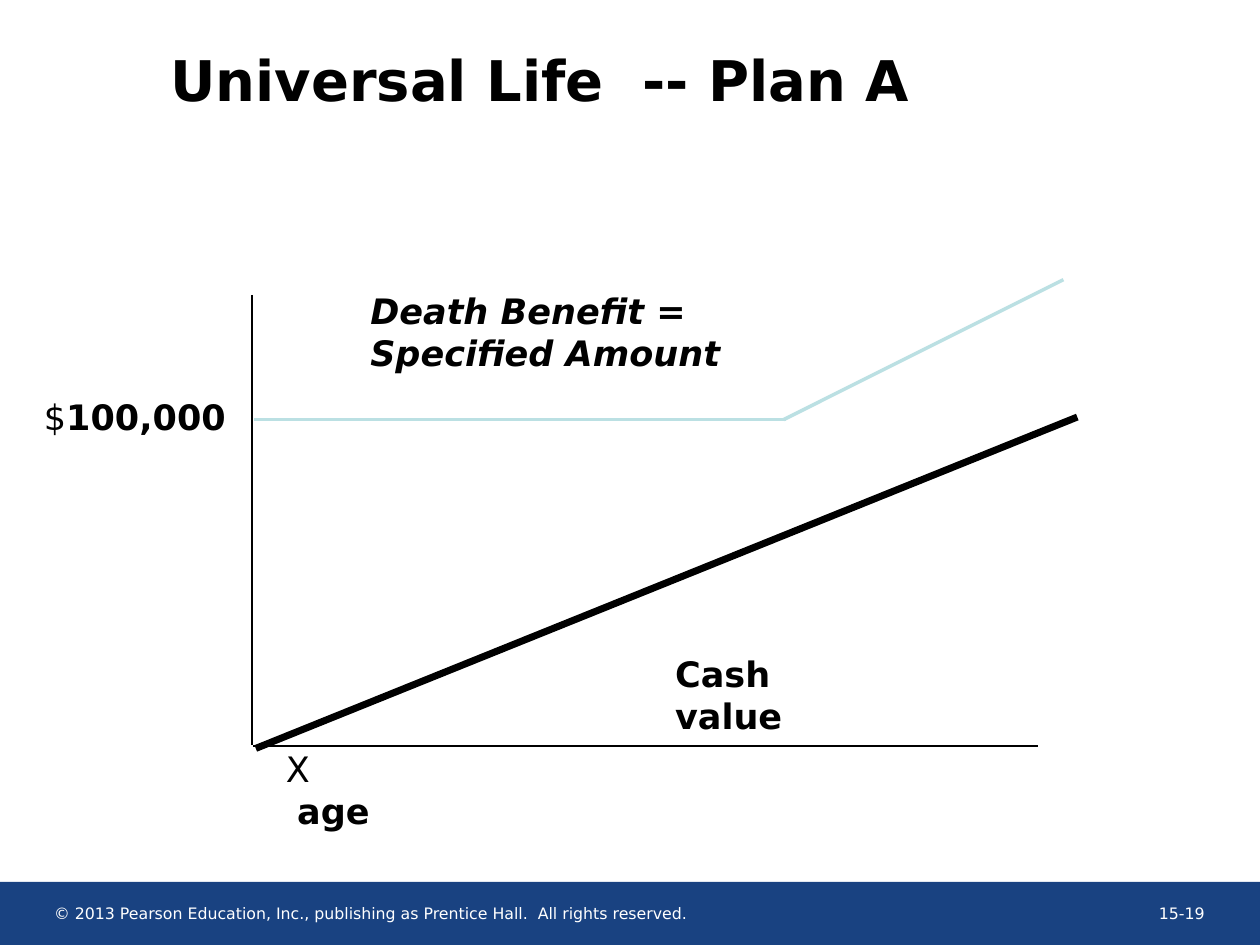
import pptx
import pptx.util
import pptx.dml.color
import pptx.enum.shapes
import pptx.enum.text
import pptx.oxml.ns
from lxml import etree

Inches, Pt = pptx.util.Inches, pptx.util.Pt
ALIGN = pptx.enum.text.PP_ALIGN
FONT = "DejaVu Sans"
BLACK, WHITE, NAVY, AQUA = "000000", "FFFFFF", "194281", "BBE0E3"

TITLE = "Universal Life  -- Plan A"
FOOTERS = [
    ((0.43, 7.17, 5.9, 0.2), ALIGN.LEFT,
     "© 2013 Pearson Education, Inc., publishing as Prentice Hall.  All rights reserved."),
    ((9.17, 7.17, 0.39, 0.2), ALIGN.RIGHT, "15-19"),
]
LINES = [
    ((2, 2.34), (2, 5.91), BLACK, 1),
    ((2.01, 5.92), (8.24, 5.92), BLACK, 1),
    ((2.02, 3.33), (6.24, 3.33), AQUA, 2),
    ((6.22, 3.33), (8.44, 2.22), AQUA, 2),
    ((2.03, 5.94), (8.55, 3.31), BLACK, 4),
]
LABELS = [
    ((2.84, 2.25, 3.91, 0.76), [[("Death Benefit = Specified Amount", True, True)]]),
    ((0.25, 3.09, 2.08, 0.43), [[("$", False, False), ("100,000", True, False)]]),
    ((2.17, 5.88, 2.75, 0.76), [[("X", False, False)], [("age", True, False)]]),
    ((5.26, 5.13, 1.7, 0.76), [[("Cash value", True, False)]]),
]
HANGING_INDENT = 0.09


def rgb(color):
    return pptx.dml.color.RGBColor.from_string(color)


def add_run(p, text, size, color, bold=False, italic=False):
    r = p.add_run()
    r.text = text
    f = r.font
    f.name, f.size, f.bold, f.italic = FONT, Pt(size), bold, italic
    f.color.rgb = rgb(color)


def add_text(s, box, paragraphs, size, color, align=ALIGN.LEFT, inset=True):
    tf = s.shapes.add_textbox(*map(Inches, box)).text_frame
    tf.word_wrap = True
    if not inset:
        tf.margin_left = tf.margin_right = tf.margin_top = tf.margin_bottom = 0
    for i, runs in enumerate(paragraphs):
        p = tf.paragraphs[0] if i == 0 else tf.add_paragraph()
        p.alignment = align
        if i:
            p._p.get_or_add_pPr().set("marL", str(Inches(HANGING_INDENT)))
        for text, bold, italic in runs:
            add_run(p, text, size, color, bold, italic)


def add_line(s, start, end, color, width):
    line = s.shapes.add_connector(
        pptx.enum.shapes.MSO_CONNECTOR.STRAIGHT, *map(Inches, start + end))
    line.line.color.rgb = rgb(color)
    line.line.width = Pt(width)
    etree.SubElement(line._element.spPr, pptx.oxml.ns.qn("a:effectLst"))


def main():
    """Build the Universal Life Plan A slide."""
    prs = pptx.Presentation()
    prs.slide_width, prs.slide_height = Inches(10), Inches(7.5)
    s = prs.slides.add_slide(prs.slide_layouts[5])

    band = s.shapes.add_shape(
        pptx.enum.shapes.MSO_SHAPE.RECTANGLE, *map(Inches, (0, 7, 10, 0.5)))
    band.shadow.inherit = False
    band.fill.solid()
    band.fill.fore_color.rgb = rgb(NAVY)
    band.line.fill.background()
    for box, align, text in FOOTERS:
        add_text(s, box, [[(text, False, False)]], 9, WHITE, align, inset=False)

    title = s.shapes.title
    title.left, title.top, title.width, title.height = map(Inches, (1.25, 0, 8.42, 1.25))
    title.text_frame.vertical_anchor = pptx.enum.text.MSO_ANCHOR.MIDDLE
    p = title.text_frame.paragraphs[0]
    p.alignment = ALIGN.LEFT
    add_run(p, TITLE, 32, BLACK, bold=True)

    for line in LINES:
        add_line(s, *line)
    for box, paragraphs in LABELS:
        add_text(s, box, paragraphs, 20, BLACK)

    prs.save("out.pptx")


if __name__ == "__main__":
    main()
